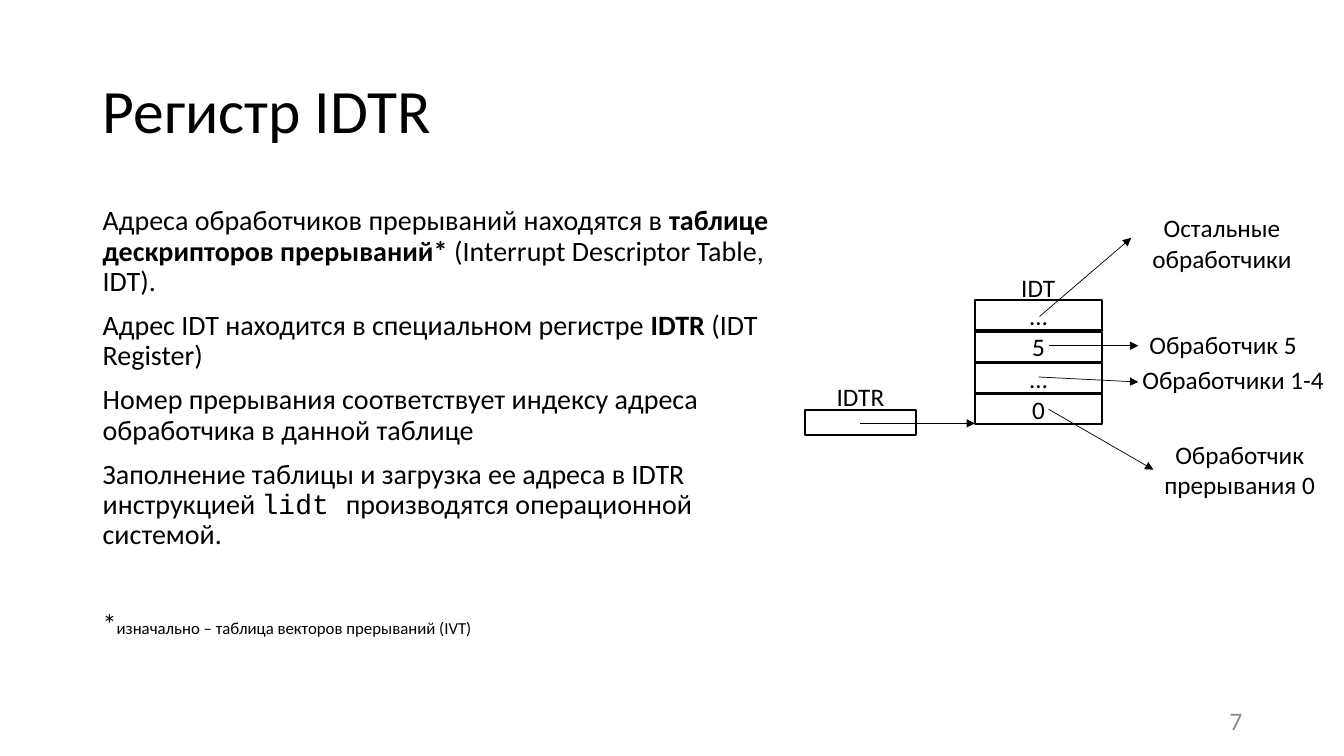
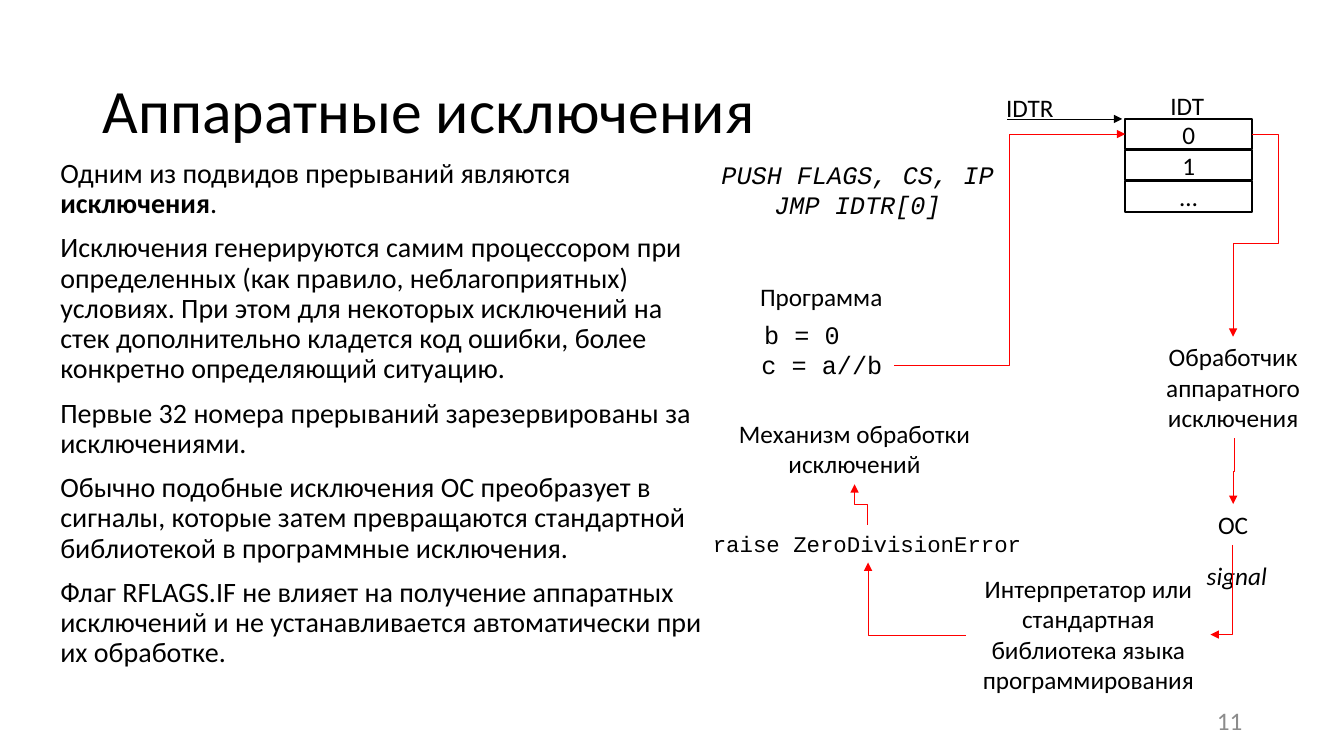
from lxml import etree
from pptx import Presentation
from pptx.dml.color import RGBColor
from pptx.enum import shapes, text
from pptx.oxml import ns
from pptx.util import Inches, Pt

HUES = {"ink": "000000", "red": "FF0000", "gray": "8C8C8C"}
SANS, MONO = "Calibri", "Courier New"
ALIGN = {"l": text.PP_ALIGN.LEFT, "c": text.PP_ALIGN.CENTER, "r": text.PP_ALIGN.RIGHT}
MID = text.MSO_ANCHOR.MIDDLE
BOLD, CODE = {"bold": True}, {"name": MONO}
CODE18 = {"size": 18, "name": MONO}
ROW, COL = 0.31, 1.26


def hue(name):
    return RGBColor.from_string(HUES[name])


def style(font, look):
    """Apply a dict of font values, with sizes in points."""
    look = {"size": 18, "name": SANS, "color": "ink"} | look
    font.color.rgb = hue(look.pop("color"))
    look["size"] = Pt(look["size"])
    for key, value in look.items():
        setattr(font, key, value)


def write(para, runs, look):
    """Fill a paragraph from (text, look) runs; a newline is a line break."""
    for words, extra in runs:
        for i, line in enumerate(words.split("\n")):
            if i:
                para.add_line_break()
            run = para.add_run()
            run.text = line
            style(run.font, look | extra)


def label(slide, box, words, align="c", wrap=True, look={}, anchor=text.MSO_ANCHOR.TOP):
    frame = slide.shapes.add_textbox(*map(Inches, box)).text_frame
    frame.word_wrap = wrap
    frame.vertical_anchor = anchor
    para = frame.paragraphs[0]
    para.alignment = ALIGN[align]
    write(para, [(words, {})], look)
    return para


def body(slide, box, paras):
    """Add paragraphs, each given as (space before, runs)."""
    frame = slide.shapes.add_textbox(*map(Inches, box)).text_frame
    frame.word_wrap = True
    for i, (gap, runs) in enumerate(paras):
        para = frame.add_paragraph() if i else frame.paragraphs[0]
        para.line_spacing = 0.9
        para.space_before = Pt(gap)
        write(para, runs, {"size": 20})


def cell(slide, box, words=""):
    rect = slide.shapes.add_shape(shapes.MSO_SHAPE.RECTANGLE, *map(Inches, box))
    rect.shadow.inherit = False
    rect.fill.background()
    rect.line.color.rgb = hue("ink")
    rect.line.width = Pt(1.5)
    if words:
        frame = rect.text_frame
        frame.vertical_anchor = MID
        frame.paragraphs[0].alignment = ALIGN["c"]
        write(frame.paragraphs[0], [(words, {})], {})


def stack(slide, left, top, rows):
    for i, words in enumerate(rows):
        cell(slide, (left, top + i * ROW, COL, 0.3), words)


def arrow(slide, ends, color="ink", kind=shapes.MSO_CONNECTOR.STRAIGHT):
    link = slide.shapes.add_connector(kind, *map(Inches, ends))
    link.line.color.rgb = hue(color)
    link.line.width = Pt(0.5)
    tip = etree.SubElement(link.line._ln, ns.qn("a:tailEnd"))
    tip.set("type", "triangle")
    props = link._element.spPr
    etree.SubElement(props, ns.qn("a:effectLst"))
    return props


def bend(slide, ends, turn=0, bends=3, adjust=()):
    """Add a red elbow; ends are those before the turn in degrees."""
    props = arrow(slide, ends, "red", shapes.MSO_CONNECTOR.ELBOW)
    props.find(ns.qn("a:xfrm")).set("rot", str(turn * 60000))
    geom = props.find(ns.qn("a:prstGeom"))
    geom.set("prst", f"bentConnector{bends}")
    guides = geom.find(ns.qn("a:avLst"))
    if guides is None:
        guides = etree.SubElement(geom, ns.qn("a:avLst"))
    for i, part in enumerate(adjust, 1):
        guide = etree.SubElement(guides, ns.qn("a:gd"))
        guide.set("name", f"adj{i}")
        guide.set("fmla", f"val {round(part * 100000)}")


def page(deck, title, number):
    slide = deck.slides.add_slide(deck.slide_layouts[6])
    head = label(slide, (0.92, 0.4, 11.5, 1.45), title, "l", look={"size": 44}, anchor=MID)
    head.line_spacing = 0.9
    label(slide, (9.42, 6.95, 3, 0.4), number, "r", look={"color": "gray"}, anchor=MID)
    return slide


def table(deck):
    slide = page(deck, "Регистр IDTR", "7")
    body(slide, (0.92, 2, 7.03, 4.78), [
        (0, [("Адреса обработчиков прерываний находятся в ", {}),
             ("таблице дескрипторов прерываний* ", BOLD),
             ("(Interrupt Descriptor Table, IDT).", {})]),
        (10, [("Адрес IDT находится в специальном регистре ", {}),
              ("IDTR", BOLD), (" (IDT Register)", {})]),
        (10, [("Номер прерывания соответствует индексу адреса обработчика в данной таблице", {})]),
        (10, [("Заполнение таблицы и загрузка ее адреса в IDTR инструкцией ", {}),
              ("lidt ", CODE), ("производятся операционной системой.", {})]),
        (42, [("*", {}), ("изначально – таблица векторов прерываний (IVT)", {"size": 12})]),
    ])
    stack(slide, 9.67, 2.98, ["…", "5", "…", "0"])
    cell(slide, (7.98, 4.07, 1.11, 0.25))
    label(slide, (8.2, 3.73, 0.68, 0.4), "IDTR", "l", False)
    label(slide, (10.03, 2.65, 0.55, 0.4), "IDT", "l")
    for ends in [(8.53, 4.2, 9.67, 4.2), (10.31, 3.14, 11.22, 2.36),
                 (10.4, 3.43, 11.29, 3.43), (10.3, 3.74, 11.29, 3.79),
                 (10.4, 4.06, 11.44, 4.66)]:
        arrow(slide, ends)
    for box, words in [
        ((11.29, 2.06, 1.66, 0.71), "Остальные\nобработчики"),
        ((11.29, 3.22, 1.68, 0.4), "Обработчик 5"),
        ((11.22, 3.57, 2.02, 0.4), "Обработчики 1-4"),
        ((11.44, 4.31, 1.71, 0.71), "Обработчик\nпрерывания 0"),
    ]:
        label(slide, box, words, wrap=False)


def faults(deck):
    slide = page(deck, "Аппаратные исключения", "11")
    body(slide, (0.5, 1.53, 6.57, 5.82), [
        (0, [("Одним из подвидов прерываний являются ", {}), ("исключения", BOLD), (".", {})]),
        (10, [("Исключения генерируются самим процессором при определенных (как правило, "
               "неблагоприятных) условиях. При этом для некоторых исключений на стек "
               "дополнительно кладется код ошибки, более конкретно определяющий ситуацию.", {})]),
        (10, [("Первые 32 номера прерываний зарезервированы за исключениями.", {})]),
        (10, [("Обычно подобные исключения ОС преобразует в сигналы, которые затем "
               "превращаются стандартной библиотекой в программные исключения.", {})]),
        (10, [("Флаг RFLAGS.IF не влияет на получение аппаратных исключений и не "
               "устанавливается автоматически при их обработке.", {})]),
    ])
    stack(slide, 11.16, 1.18, ["0", "1", "…"])
    label(slide, (11.51, 0.85, 0.55, 0.4), "IDT", "l")
    label(slide, (9.88, 0.87, 0.68, 0.4), "IDTR", "l", False)
    arrow(slide, (9.99, 1.18, 11.13, 1.18))
    label(slide, (7.44, 2.74, 1.43, 0.4), "Программа", "l", False)
    label(slide, (7.48, 3.12, 1.89, 0.4), "b = 0", "l", look=CODE18)
    label(slide, (7.44, 3.42, 1.42, 0.4), "c = a//b", wrap=False, look=CODE18)
    label(slide, (6.85, 5.21, 3.5, 0.37), "raise ZeroDivisionError", look=CODE | {"size": 16})
    label(slide, (6.88, 1.53, 3.25, 0.71), "PUSH FLAGS, CS, IP\nJMP IDTR[0]",
          look=CODE18 | {"italic": True})
    label(slide, (11.87, 5.51, 0.81, 0.4), "signal", "l", False, {"italic": True})
    for box, words in [
        ((11.42, 3.34, 1.62, 1.01), "Обработчик аппаратного исключения"),
        ((11.42, 5, 1.62, 0.4), "ОС"),
        ((9.58, 5.64, 2.43, 1.31),
         "Интерпретатор или стандартная библиотека языка программирования"),
        ((7.07, 4.1, 2.81, 0.71), "Механизм обработки исключений"),
    ]:
        label(slide, box, words)
    bend(slide, (8.87, 3.62, 11.16, 1.33), adjust=[0.5])
    bend(slide, (12.42, 1.33, 12.23, 3.34), bends=4, adjust=[-1.35, 0.54])
    bend(slide, (11.91, 4.67, 12.56, 4.68), 90, adjust=[0.5])
    bend(slide, (11.67, 5.74, 12.56, 5.96), 90, 2)
    bend(slide, (8.61, 5.58, 9.58, 6.3), 180, 2)
    bend(slide, (8.34, 5.07, 8.74, 4.94), 270, adjust=[0.5])


def main():
    deck = Presentation()
    deck.slide_width, deck.slide_height = Inches(13.33), Inches(7.5)
    table(deck)
    faults(deck)
    deck.save("out.pptx")


if __name__ == "__main__":
    main()
